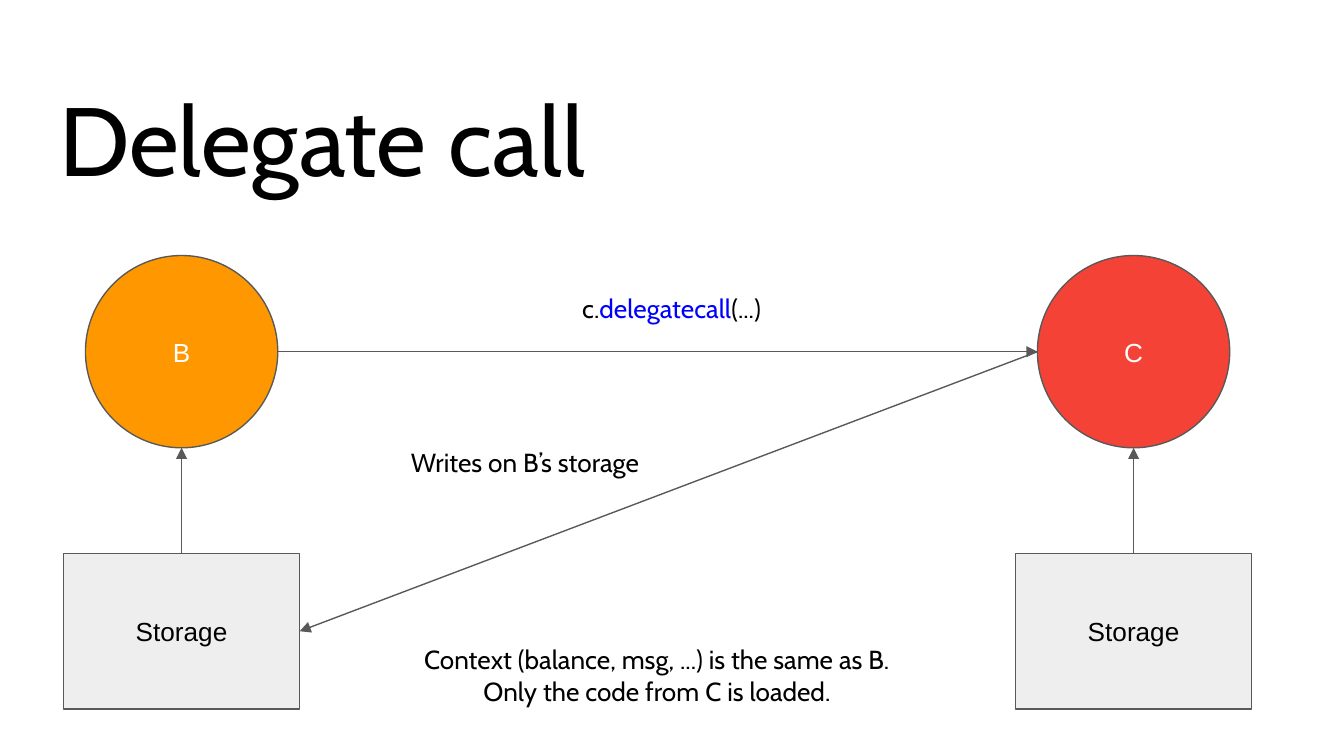
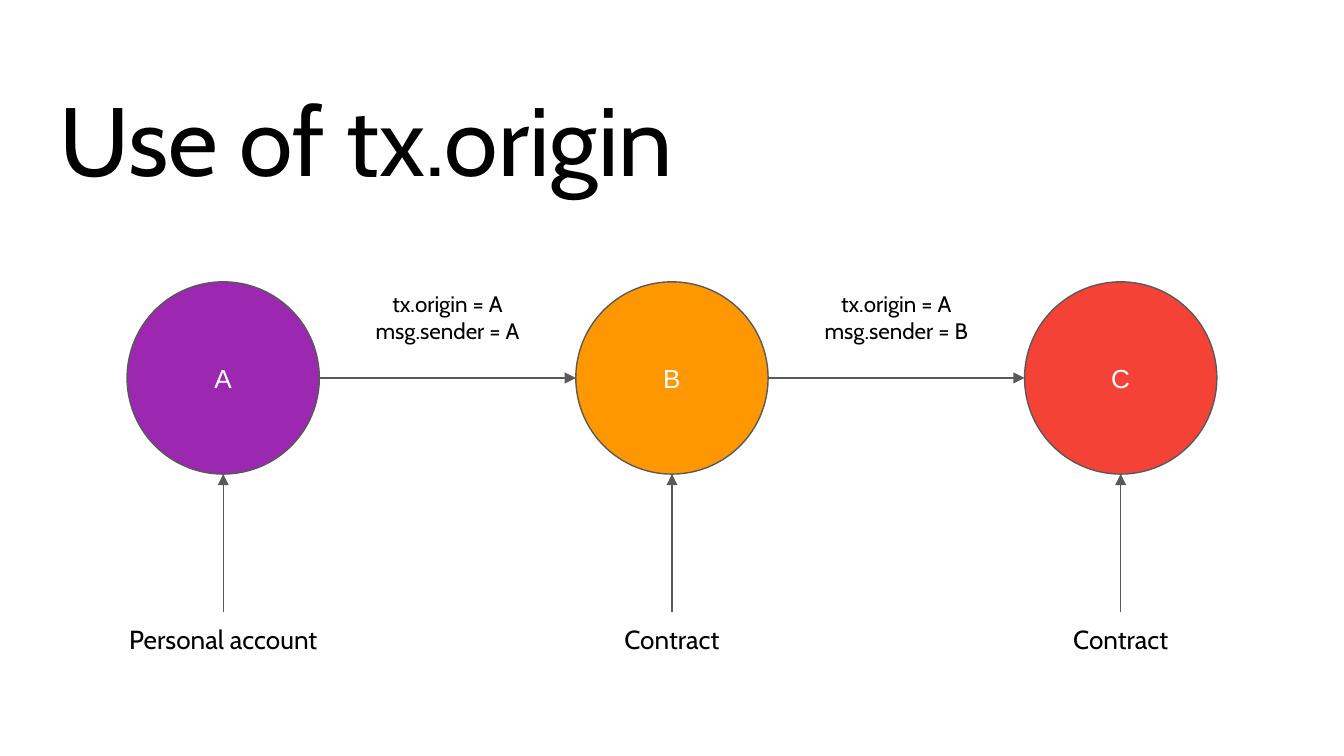
from typing import NamedTuple, Optional

from pptx import Presentation
from pptx.dml.color import RGBColor
from pptx.enum.shapes import MSO_CONNECTOR, MSO_SHAPE
from pptx.enum.text import MSO_ANCHOR, MSO_AUTO_SIZE, PP_ALIGN
from pptx.oxml.ns import qn
from pptx.util import Pt
from lxml.etree import SubElement

BLACK, WHITE, BLUE = "000000", "FFFFFF", "0000FF"
PURPLE, ORANGE, RED = "9C27B0", "FF9800", "F44336"
STORAGE_GREY, OUTLINE = "EEEEEE", "595959"
HEADING_FONT, NODE_FONT = "Cabin", "Arial"
INSET = 7.2
DIAMETER = 103
RADIUS = DIAMETER / 2


class Account(NamedTuple):
    name: str
    colour: str
    x: float
    role: str = ""


class Caption(NamedTuple):
    text: str
    x: float
    top: float
    width: float
    height: float = 37.4
    size: float = 14


def rgb(colour: str) -> RGBColor:
    return RGBColor.from_string(colour)


def format_text(frame, font: str, size: float, colour: str,
                align=PP_ALIGN.CENTER, anchor=MSO_ANCHOR.MIDDLE) -> None:
    frame.word_wrap = True
    frame.auto_size = MSO_AUTO_SIZE.NONE
    frame.vertical_anchor = anchor
    frame.margin_left = frame.margin_right = Pt(INSET)
    frame.margin_top = frame.margin_bottom = Pt(INSET)
    for paragraph in frame.paragraphs:
        paragraph.alignment = align
        for run in paragraph.runs:
            run.font.name = font
            run.font.size = Pt(size)
            run.font.color.rgb = rgb(colour)


def add_titled_slide(deck, heading: str):
    slide = deck.slides.add_slide(deck.slide_layouts[5])
    title = slide.shapes.title
    title.left, title.top, title.width, title.height = Pt(24.5), Pt(35.3), Pt(671), Pt(45)
    title.text_frame.text = heading
    format_text(title.text_frame, HEADING_FONT, 52, BLACK, PP_ALIGN.LEFT, MSO_ANCHOR.TOP)
    return slide


def add_node(shapes, kind, label: str, x: float, y: float, width: float,
             height: float, fill: str, ink: str):
    """Draw a labelled shape centred on (x, y)."""
    node = shapes.add_shape(kind, Pt(x - width / 2), Pt(y - height / 2),
                            Pt(width), Pt(height))
    node.shadow.inherit = False
    node.fill.solid()
    node.fill.fore_color.rgb = rgb(fill)
    node.line.color.rgb = rgb(OUTLINE)
    node.line.width = Pt(0.75)
    node.text_frame.text = label
    format_text(node.text_frame, NODE_FONT, 14, ink)
    return node


def add_account(shapes, account: Account, y: float) -> None:
    add_node(shapes, MSO_SHAPE.OVAL, account.name, account.x, y,
             DIAMETER, DIAMETER, account.colour, WHITE)


def add_caption(shapes, caption: Caption):
    """Draw a text box centred horizontally on caption.x."""
    box = shapes.add_textbox(Pt(caption.x - caption.width / 2), Pt(caption.top),
                             Pt(caption.width), Pt(caption.height))
    box.text_frame.text = caption.text
    format_text(box.text_frame, HEADING_FONT, caption.size, BLACK)
    return box


def add_arrow(shapes, start: tuple[float, float], end: tuple[float, float],
              source: Optional[tuple] = None, target: Optional[tuple] = None) -> None:
    """Draw an arrow; source and target are (shape, side) pairs to join."""
    arrow = shapes.add_connector(MSO_CONNECTOR.STRAIGHT, *map(Pt, start + end))
    if source:
        arrow.begin_connect(*source)
    if target:
        arrow.end_connect(*target)
    arrow.line.color.rgb = rgb(OUTLINE)
    arrow.line.width = Pt(0.75)
    SubElement(arrow.line._get_or_add_ln(), qn("a:tailEnd"), type="triangle")
    SubElement(arrow._element.spPr, qn("a:effectLst"))


def build_delegate_call(deck) -> None:
    shapes = add_titled_slide(deck, "Delegate call").shapes
    caller, callee = Account("B", ORANGE, 97.3), Account("C", RED, 607.3)
    account_y, storage_y = 188.4, 338.2
    storage_width, storage_height = 126.4, 83.2

    storages = []
    for account in (caller, callee):
        add_account(shapes, account, account_y)
        storage = add_node(shapes, MSO_SHAPE.RECTANGLE, "Storage", account.x, storage_y,
                           storage_width, storage_height, STORAGE_GREY, BLACK)
        add_arrow(shapes, (account.x, storage_y - storage_height / 2),
                  (account.x, account_y + RADIUS), source=(storage, 0))
        storages.append(storage)

    callee_side = (callee.x - RADIUS, account_y)
    add_arrow(shapes, callee_side, (caller.x + storage_width / 2, storage_y),
              target=(storages[0], 3))
    add_arrow(shapes, (caller.x + RADIUS, account_y), callee_side)

    call = add_caption(shapes, Caption("c.", 359.8, 146.5, 198))
    call_line = call.text_frame.paragraphs[0]
    for part in ("delegatecall", "(...)"):
        call_line.add_run().text = part
    format_text(call.text_frame, HEADING_FONT, 14, BLACK)
    call_line.runs[1].font.color.rgb = rgb(BLUE)

    add_caption(shapes, Caption("Writes on B’s storage", 281.3, 229, 153))
    add_caption(shapes, Caption("Context (balance, msg, ...) is the same as B.\n"
                                "Only the code from C is loaded.", 352, 343, 306))


def build_tx_origin(deck) -> None:
    slide = add_titled_slide(deck, "Use of tx.origin")
    account_y, role_top, step = 202.5, 327.7, 240.4
    accounts = [
        Account(name, colour, 360 + (i - 1) * step, role)
        for i, (name, colour, role) in enumerate([
            ("A", PURPLE, "Personal account"),
            ("B", ORANGE, "Contract"),
            ("C", RED, "Contract"),
        ])
    ]

    chain = slide.shapes.add_group_shape().shapes
    for account in accounts:
        add_account(chain, account, account_y)
    for sender, receiver in zip(accounts, accounts[1:]):
        add_arrow(chain, (sender.x + RADIUS, account_y), (receiver.x - RADIUS, account_y))
        add_caption(chain, Caption(f"tx.origin = A\nmsg.sender = {sender.name}",
                                   (sender.x + receiver.x) / 2, account_y - RADIUS,
                                   step - DIAMETER, size=12))

    for account in accounts:
        role = add_caption(slide.shapes, Caption(account.role, account.x, role_top, 123, 29))
        add_arrow(slide.shapes, (account.x, role_top), (account.x, account_y + RADIUS),
                  source=(role, 0))


def main() -> None:
    deck = Presentation()
    deck.slide_width, deck.slide_height = Pt(720), Pt(405)
    build_delegate_call(deck)
    build_tx_origin(deck)
    deck.save("out.pptx")


if __name__ == "__main__":
    main()
